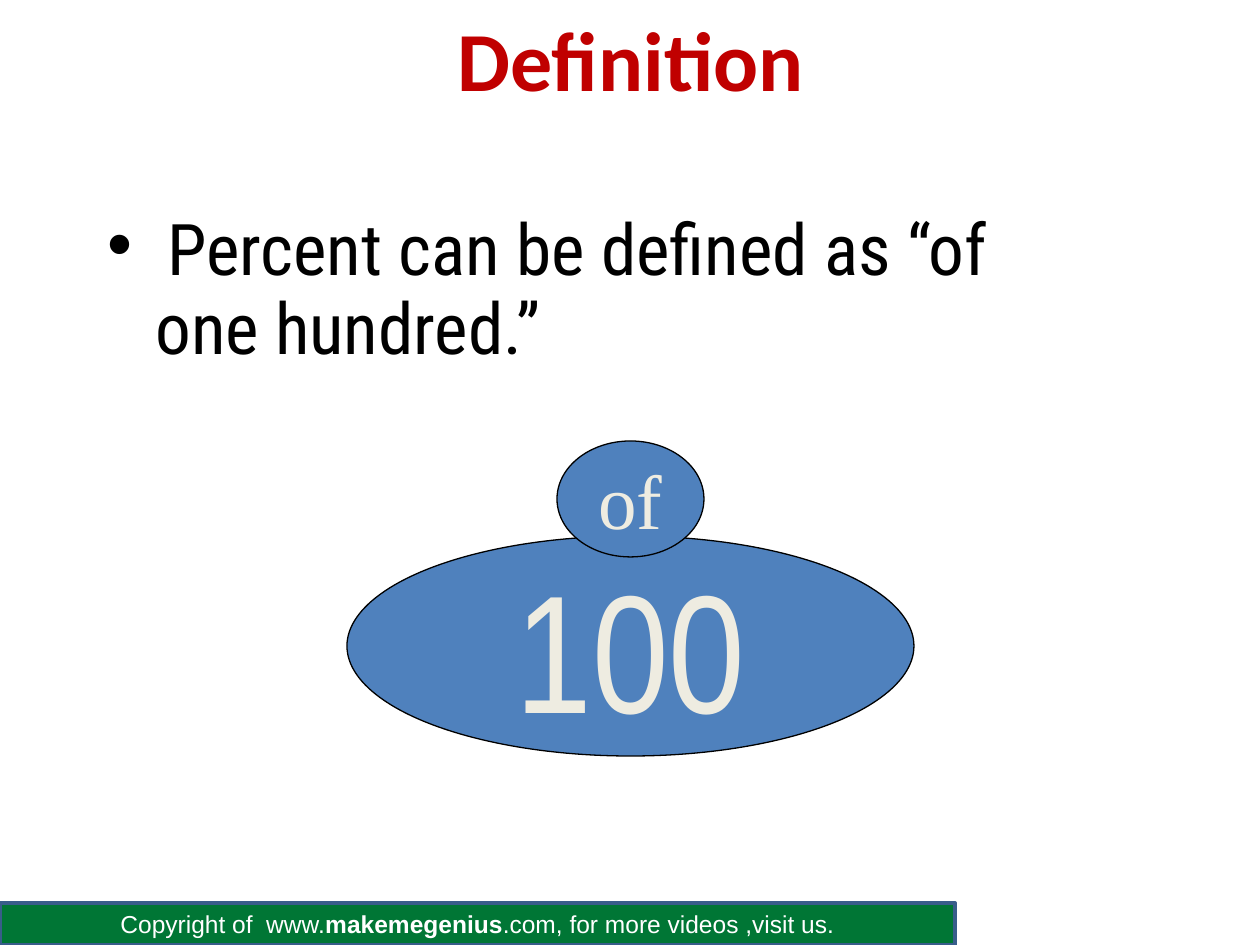
from dataclasses import dataclass

from lxml.etree import SubElement
from pptx import Presentation
from pptx.dml.color import RGBColor
from pptx.enum.shapes import MSO_SHAPE as SHAPE
from pptx.enum.text import MSO_ANCHOR as ANCHOR, PP_ALIGN as ALIGN
from pptx.oxml.ns import qn
from pptx.slide import Slide
from pptx.util import Pt

EMU_PER_PX = 914400 / 126


def px(n):
    """Turn pixels into EMU."""
    return round(n * EMU_PER_PX)


def color(value):
    """Turn a hex string into a colour."""
    return RGBColor.from_string(value)


@dataclass
class Builder:
    """Holds the style and the slide being built."""

    slide: Slide
    blue: str = "4F81BD"
    cream: str = "EEECE1"
    black: str = "000000"

    def style(self, r, font, size, fill, bold=False):
        """Format one run."""
        r.font.name, r.font.size, r.font.bold = font, Pt(size), bold
        r.font.color.rgb = color(fill)

    def title(self, text, box):
        """Fill and place the title placeholder."""
        s = self.slide.shapes.title
        s.left, s.top, s.width, s.height = map(px, box)
        tf = s.text_frame
        tf.text = text
        tf.vertical_anchor = ANCHOR.MIDDLE
        p = tf.paragraphs[0]
        p.alignment = ALIGN.CENTER
        self.style(p.runs[0], "Calibri", 48, "C00000", True)

    def shape(self, kind, box, fill, line, width, runs, font, size, ink, wrap):
        """Draw a filled shape with centred text given as (text, bold) runs."""
        s = self.slide.shapes.add_shape(kind, *map(px, box))
        s.shadow.inherit = False
        s.fill.solid()
        s.fill.fore_color.rgb = color(fill)
        s.line.color.rgb = color(line)
        s.line.width = Pt(width)
        tf = s.text_frame
        tf.word_wrap = wrap
        tf.vertical_anchor = ANCHOR.MIDDLE
        p = tf.paragraphs[0]
        p.alignment = ALIGN.CENTER
        for text, bold in runs:
            r = p.add_run()
            r.text = text
            self.style(r, font, size, ink, bold)

    def ellipse(self, box, text, font, size):
        """Draw a labelled ellipse."""
        self.shape(SHAPE.OVAL, box, self.blue, self.black, 0.75,
                   [(text, False)], font, size, self.cream, False)

    def body(self, box, lines):
        """Write (text, margin, bullet) lines in a text box."""
        tf = self.slide.shapes.add_textbox(*map(px, box)).text_frame
        tf.word_wrap = True
        for i, (text, margin, bullet) in enumerate(lines):
            p = tf.add_paragraph() if i else tf.paragraphs[0]
            p.text = text
            p.line_spacing = 0.7
            p.space_before = Pt(11 if i else 0)
            ppr = p._p.get_or_add_pPr()
            ppr.set("marL", str(px(margin)))
            if bullet:
                ppr.set("indent", str(-px(margin)))
                SubElement(ppr, qn("a:buFont"), typeface="Arial")
                SubElement(ppr, qn("a:buChar"), char=bullet)
            self.style(p.runs[0], "Roboto Condensed", 40.7, self.black)


def main():
    """Build the slide and save it."""
    prs = Presentation()
    prs.slide_width, prs.slide_height = px(1260), px(945)
    b = Builder(prs.slides.add_slide(prs.slide_layouts[5]))
    b.shape(SHAPE.RECTANGLE, (0, 903, 955, 42), "007635", "385D8A", 2,
            [("Copyright of  www.", False), ("makemegenius", True),
             (".com, for more videos ,visit us.", False)],
            "Arial", 14, "FFFFFF", True)
    b.title("Definition", (95, -21, 1071, 158))
    b.body((95, 221, 1071, 189),
           [("Percent can be defined as “of", 60, "•"),
            ("one hundred.”", 48, None)])
    b.ellipse((347, 536, 567, 220), "100", "Arial Narrow", 96)
    b.ellipse((557, 441, 147, 116), "of", "Times New Roman", 44)
    prs.save("out.pptx")


if __name__ == "__main__":
    main()
